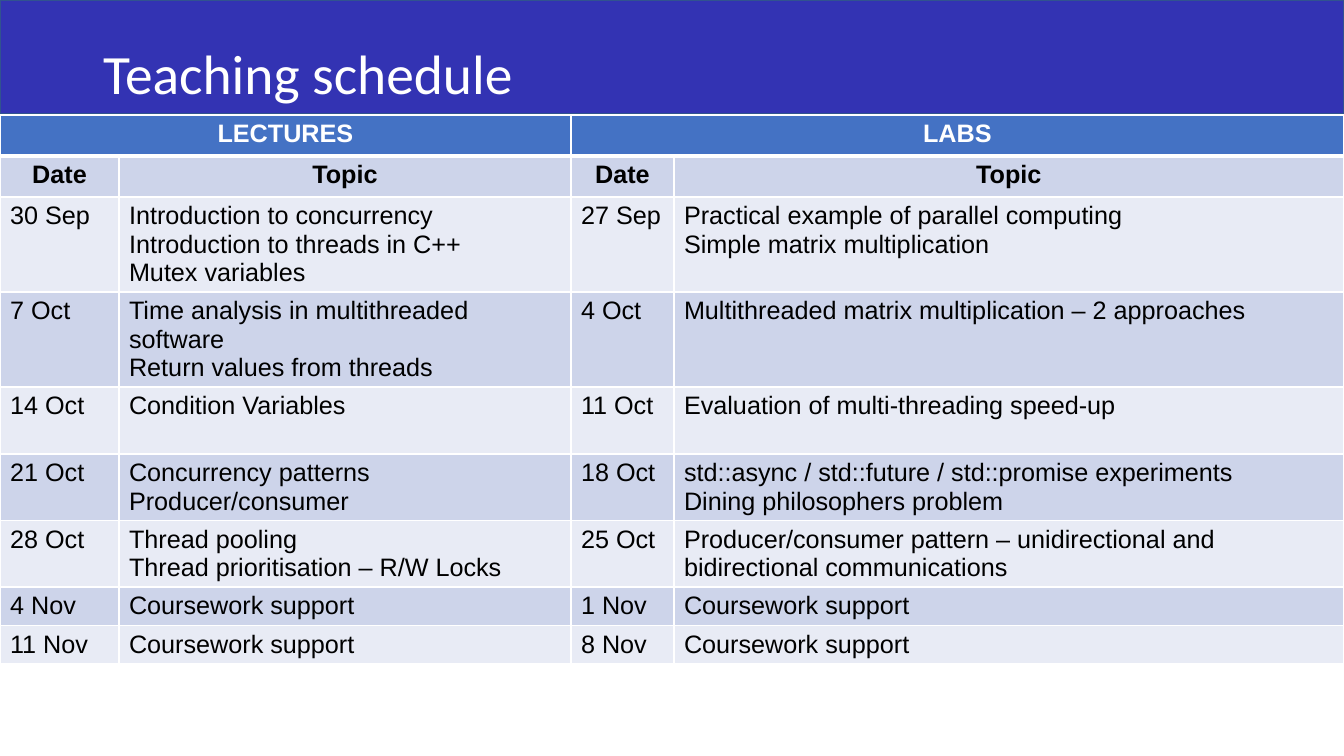
from lxml import etree
from pptx import Presentation
from pptx import util as u
from pptx.dml.color import RGBColor
from pptx.enum import shapes, text
from pptx.oxml import ns

PX = 914400 / 100.8
COLOURS = {
    "band": "3333B3", "band_line": "31538F", "header": "4472C4",
    "dark_row": "CDD4EA", "light_row": "E8EBF5",
    "white": "FFFFFF", "black": "000000",
}
COLUMN_WIDTHS = [119, 452, 103, 670]
ROW_HEIGHTS = [41, 41, 95, 95, 67, 66, 66, 38, 38]
SCHEDULE = [
    ["LECTURES", "", "LABS", ""],
    ["Date", "Topic", "Date", "Topic"],
    ["30 Sep", "Introduction to concurrency\vIntroduction to threads in C++\nMutex variables",
     "27 Sep", "Practical example of parallel computing\nSimple matrix multiplication"],
    ["7 Oct", "Time analysis in multithreaded software\nReturn values from threads",
     "4 Oct", "Multithreaded matrix multiplication – 2 approaches"],
    ["14 Oct", "Condition Variables", "11 Oct", "Evaluation of multi-threading speed-up"],
    ["21 Oct", "Concurrency patterns\nProducer/consumer",
     "18 Oct", "std::async / std::future / std::promise experiments\nDining philosophers problem"],
    ["28 Oct", "Thread pooling\nThread prioritisation – R/W Locks",
     "25 Oct", "Producer/consumer pattern – unidirectional and bidirectional communications"],
    ["4 Nov", "Coursework support", "1 Nov", "Coursework support"],
    ["11 Nov", "Coursework support", "8 Nov", "Coursework support"],
]


def px(length):
    return u.Emu(round(length * PX))


def rgb(name):
    return RGBColor.from_string(COLOURS[name])


def write(frame, content, font="Arial", size=18, colour="black", bold=False,
          align=text.PP_ALIGN.LEFT, spacing=None):
    frame.text = content
    for para in frame.paragraphs:
        para.alignment = align
        para.line_spacing = spacing
        for span in para.runs:
            span.font.name = font
            span.font.size = u.Pt(size)
            span.font.bold = bold
            span.font.color.rgb = rgb(colour)


def add_heading(page, left, top, width, height):
    title = page.shapes.title
    band = page.shapes.add_shape(shapes.MSO_SHAPE.RECTANGLE,
                                 px(left), px(top), px(width), px(height))
    band.shadow.inherit = False
    band.fill.solid()
    band.fill.fore_color.rgb = rgb("band")
    band.line.color.rgb = rgb("band_line")
    band.line.width = u.Pt(1)
    title.element.addprevious(band.element)

    title.left, title.top = px(left + 93), px(top + 40)
    title.width, title.height = px(1159), px(height - 40)
    frame = title.text_frame
    frame.auto_size = text.MSO_AUTO_SIZE.NONE
    frame.word_wrap = True
    frame.vertical_anchor = text.MSO_ANCHOR.MIDDLE
    frame.margin_left = frame.margin_right = u.Inches(0.1)
    frame.margin_top = frame.margin_bottom = u.Inches(0.05)
    write(frame, "Teaching schedule", font="Calibri", size=39.6, colour="white", spacing=0.9)


def add_borders(cell, bottom=1, top=1):
    properties = cell._tc.get_or_add_tcPr()
    for side, points in (("L", 1), ("R", 1), ("T", top), ("B", bottom)):
        line = etree.SubElement(properties, ns.qn(f"a:ln{side}"), w=str(u.Pt(points)))
        fill = etree.SubElement(line, ns.qn("a:solidFill"))
        etree.SubElement(fill, ns.qn("a:srgbClr"), val=COLOURS["white"])


def add_schedule(page, left, top, width, height):
    table = page.shapes.add_table(len(ROW_HEIGHTS), len(COLUMN_WIDTHS),
                                  px(left), px(top), px(width), px(height)).table
    for column, column_width in zip(table.columns, COLUMN_WIDTHS):
        column.width = px(column_width)
    for row, row_height in zip(table.rows, ROW_HEIGHTS):
        row.height = px(row_height)
    for first in (0, 2):
        table.cell(0, first).merge(table.cell(0, first + 1))

    for index, entries in enumerate(SCHEDULE):
        fill = "header" if index == 0 else "dark_row" if index % 2 else "light_row"
        heading = index < 2
        for column, content in enumerate(entries):
            cell = table.cell(index, column)
            add_borders(cell, bottom=3 if index == 0 else 1, top=3 if index == 1 else 1)
            cell.fill.solid()
            cell.fill.fore_color.rgb = rgb(fill)
            cell.margin_left = cell.margin_right = u.Inches(0.1)
            cell.margin_top = cell.margin_bottom = u.Inches(0.05)
            if content:
                write(cell.text_frame, content, bold=heading,
                      colour="black" if index else "white",
                      align=text.PP_ALIGN.CENTER if heading else text.PP_ALIGN.LEFT)


def main():
    deck = Presentation()
    deck.slide_width, deck.slide_height = px(1344), px(756)
    page = deck.slides.add_slide(deck.slide_layouts[5])
    add_heading(page, 0, 0, 1344, 114)
    add_schedule(page, 0, 115, sum(COLUMN_WIDTHS), sum(ROW_HEIGHTS))
    deck.save("out.pptx")


if __name__ == "__main__":
    main()
